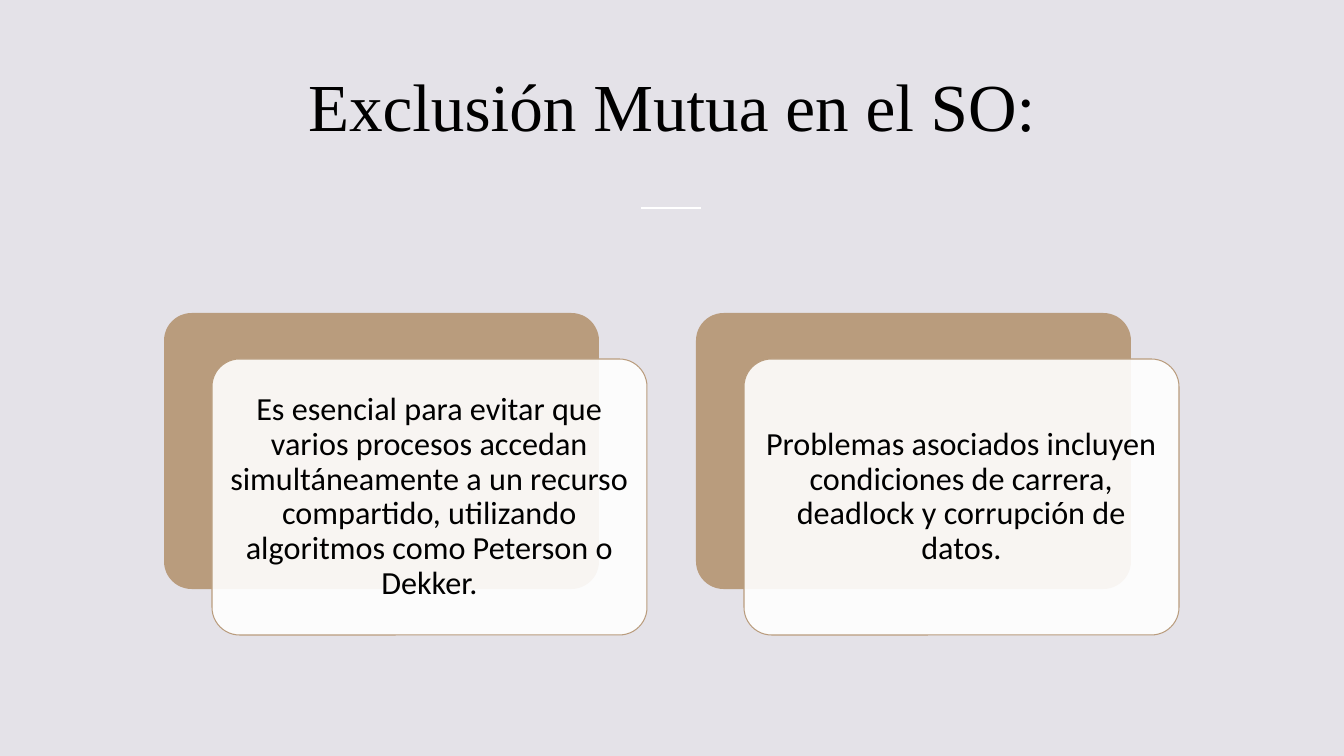
from lxml import etree
from pptx import Presentation, util as u
from pptx.dml.color import RGBColor
from pptx.enum import shapes, text
from pptx.oxml.ns import qn

TITLE = "Exclusión Mutua en\u00a0el\u00a0SO:"
CARDS = [
    "Es esencial para evitar que varios procesos accedan simultáneamente a un "
    "recurso compartido, utilizando algoritmos como Peterson o Dekker.",
    "Problemas asociados incluyen condiciones de carrera, deadlock y "
    "corrupción de datos.",
]

BACKGROUND, TAN, WHITE, BLACK = "E4E2E8", "B99C7D", "FFFFFF", "000000"
SLIDE_WIDTH, SLIDE_HEIGHT = 1344, 756
CARD_LEFT, CARD_TOP, CARD_WIDTH, CARD_HEIGHT = 164, 313, 435, 276
CARD_PITCH = 532
OFFSET_X, OFFSET_Y = 48, 46
CARD_INSET = 18
EMU_PER_PX = 914400 / 100.8


def px(*lengths):
    return [u.Emu(round(length * EMU_PER_PX)) for length in lengths]


def paint(color_format, color):
    color_format.rgb = RGBColor.from_string(color)


def fill_solid(fill, color):
    fill.solid()
    paint(fill.fore_color, color)


def write(shape, words, size, font, inset=(10, 5), spacing=1.0):
    frame = shape.text_frame
    frame.word_wrap = True
    frame.auto_size = text.MSO_AUTO_SIZE.NONE
    frame.vertical_anchor = text.MSO_ANCHOR.MIDDLE
    horizontal, vertical = px(*inset)
    frame.margin_left = frame.margin_right = horizontal
    frame.margin_top = frame.margin_bottom = vertical
    paragraph = frame.paragraphs[0]
    paragraph.alignment = text.PP_ALIGN.CENTER
    paragraph.line_spacing = spacing
    run = paragraph.add_run()
    run.text = words
    run.font.size = u.Pt(size)
    run.font.name = font
    paint(run.font.color, BLACK)


def add_panel(slide, left, top, color, outline=None, opacity=100):
    panel = slide.shapes.add_shape(
        shapes.MSO_SHAPE.ROUNDED_RECTANGLE, *px(left, top, CARD_WIDTH, CARD_HEIGHT))
    panel.adjustments[0] = 0.1
    panel.shadow.inherit = False
    fill_solid(panel.fill, color)
    if opacity < 100:
        color_element = panel.fill._xPr.find(".//" + qn("a:srgbClr"))
        etree.SubElement(color_element, qn("a:alpha"), val=str(opacity * 1000))
    if outline:
        fill_solid(panel.line.fill, outline)
        panel.line.width = u.Pt(0.75)
    else:
        panel.line.fill.background()
    return panel


def add_divider(slide, left, right, y):
    divider = slide.shapes.add_connector(
        shapes.MSO_CONNECTOR.STRAIGHT, *px(left, y, right, y))
    fill_solid(divider.line.fill, WHITE)
    divider.line.width = u.Pt(1)
    etree.SubElement(divider._element.spPr, qn("a:effectLst"))


def main():
    presentation = Presentation()
    presentation.slide_width, presentation.slide_height = px(SLIDE_WIDTH, SLIDE_HEIGHT)
    slide = presentation.slides.add_slide(presentation.slide_layouts[5])
    fill_solid(slide.background.fill, BACKGROUND)

    title = slide.shapes.title
    title.left, title.top, title.width, title.height = px(109, 28, 1126, 153)
    write(title, TITLE, size=48, font="Times New Roman")
    add_divider(slide, 641, 701, 208)

    for index, words in enumerate(CARDS):
        left = CARD_LEFT + index * CARD_PITCH
        add_panel(slide, left, CARD_TOP, TAN)
        front = add_panel(slide, left + OFFSET_X, CARD_TOP + OFFSET_Y, WHITE,
                          outline=TAN, opacity=90)
        # The rounded corners already inset the text by about 8 px.
        corner = round(0.1 * CARD_HEIGHT * 0.29)
        inset = CARD_INSET - corner
        write(front, words, size=23, font="Calibri",
              inset=(inset, inset), spacing=0.9)

    presentation.save("out.pptx")


if __name__ == "__main__":
    main()
